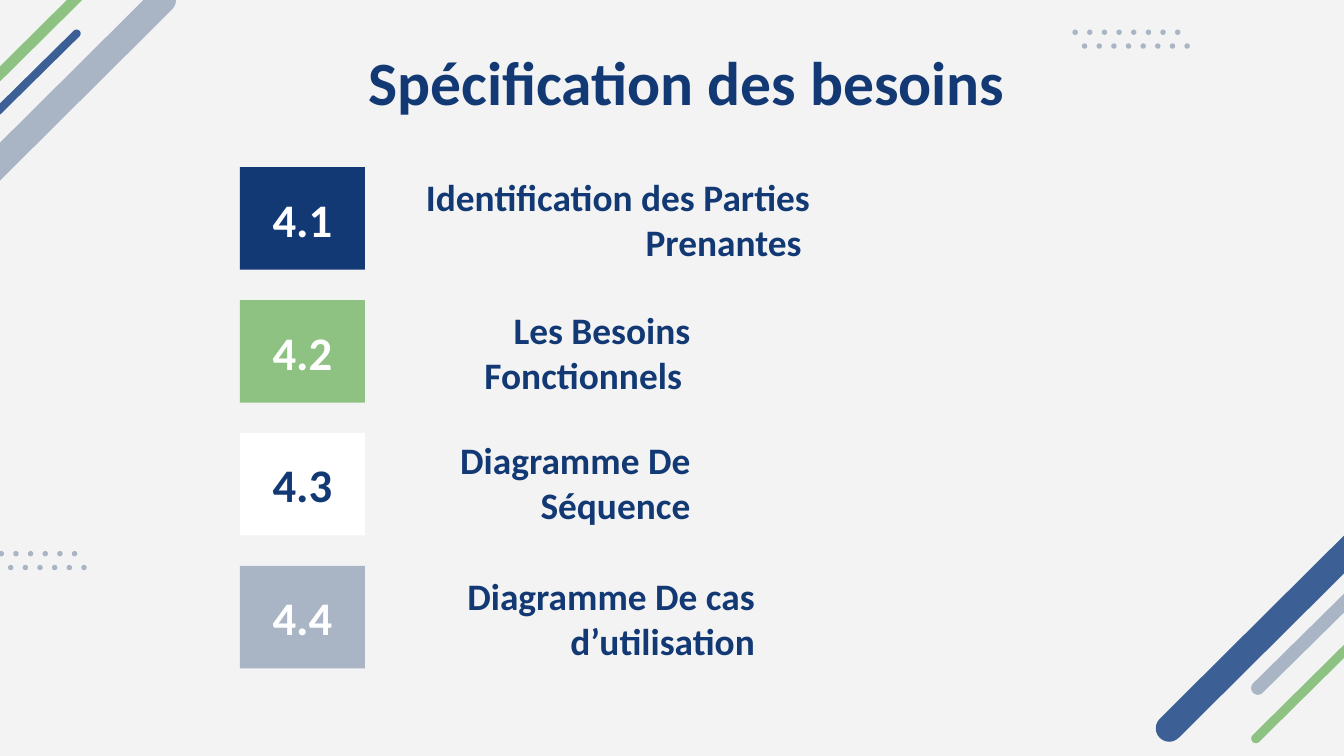
import dataclasses
import math

import pptx
import pptx.dml.color
import pptx.enum.shapes
import pptx.enum.text
import pptx.util

COLUMNS, ROWS = 1000, 562.5
CELL = pptx.util.Inches(10) // COLUMNS
SHAPE = pptx.enum.shapes.MSO_SHAPE
ANCHOR = pptx.enum.text.MSO_ANCHOR
ALIGN = pptx.enum.text.PP_ALIGN


@dataclasses.dataclass(frozen=True)
class Theme:
    font: str = "Calibri"
    background: str = "F3F3F3"
    navy: str = "123974"
    blue: str = "3C6096"
    green: str = "8EC283"
    grey: str = "A9B4C5"
    white: str = "FFFFFF"
    title_size: int = 33
    number_size: int = 25
    caption_size: int = 20


THEME = Theme()


def cells(*counts):
    return [round(count * CELL) for count in counts]


def paint(fill, color):
    fill.solid()
    fill.fore_color.rgb = pptx.dml.color.RGBColor.from_string(color)


def finish_shape(shape, color):
    paint(shape.fill, color)
    shape.line.fill.background()
    shape.shadow.inherit = False


def add_stripe(page, left, top, width, height, thickness, color):
    radius = thickness / 2
    ends = [
        (left + width - radius, top + radius, -135),
        (left + radius, top + height - radius, 45),
    ]
    points = []
    for center_x, center_y, first_angle in ends:
        for step in range(13):
            angle = math.radians(first_angle + 15 * step)
            points.append(cells(center_x + radius * math.cos(angle),
                                center_y + radius * math.sin(angle)))
    builder = page.shapes.build_freeform(*points[0])
    builder.add_line_segments(points[1:], close=True)
    finish_shape(builder.convert_to_shape(), color)


def add_dots(page, left, top, count):
    group = page.shapes.add_group_shape()
    for row in range(2):
        for column in range(count):
            place = cells(left + 7 * row + 10.9 * column, top + 10.3 * row, 4, 4)
            dot = group.shapes.add_shape(SHAPE.OVAL, *place)
            finish_shape(dot, THEME.grey)


def write(box, text, size, color, align, anchor):
    frame = box.text_frame
    frame.word_wrap = True
    frame.vertical_anchor = anchor
    frame.margin_left = frame.margin_right = pptx.util.Inches(0.1)
    frame.margin_top = frame.margin_bottom = pptx.util.Inches(0.1)
    para = frame.paragraphs[0]
    para.text = text
    para.alignment = align
    para.font.name = THEME.font
    para.font.size = pptx.util.Pt(size)
    para.font.bold = True
    para.font.color.rgb = pptx.dml.color.RGBColor.from_string(color)


def add_title(page, text):
    box = page.shapes.add_textbox(*cells(89.5, 23, 843, 63))
    write(box, text, THEME.title_size, THEME.navy, ALIGN.CENTER, ANCHOR.TOP)


def add_entry(page, index, number, caption, caption_top, caption_width, fill, number_color):
    left, width, height = 178.6, 93, 76.3
    top = 124.4 + 98.9 * index
    badge = page.shapes.add_shape(SHAPE.RECTANGLE, *cells(left, top, width, height))
    finish_shape(badge, fill)
    write(badge, number, THEME.number_size, number_color, ALIGN.CENTER, ANCHOR.MIDDLE)
    box = page.shapes.add_textbox(*cells(left + width, caption_top, caption_width, 56))
    write(box, caption, THEME.caption_size, THEME.navy, ALIGN.RIGHT, ANCHOR.MIDDLE)


def main():
    deck = pptx.Presentation()
    deck.slide_width, deck.slide_height = cells(COLUMNS, ROWS)
    page = deck.slides.add_slide(deck.slide_layouts[6])
    paint(page.background.fill, THEME.background)

    stripes = [
        (931, 455, 99, 98, 7, THEME.green),
        (931, 434, 84, 83, 10, THEME.grey),
        (860, 356, 197, 196, 20, THEME.blue),
        (-18, 22, 78, 77, 6, THEME.blue),
        (-9, -55, 120, 119, 8, THEME.green),
        (-74, -10, 205, 204, 20, THEME.grey),
    ]
    for stripe in stripes:
        add_stripe(page, *stripe)
    add_dots(page, -1, 410, 6)
    add_dots(page, 798, 22, 8)

    add_title(page, "Spécification des besoins")
    entries = [
        ("4.1", "Identification des Parties Prenantes ", 135, 341, THEME.navy, THEME.white),
        ("4.2", "Les Besoins Fonctionnels ", 234, 252, THEME.green, THEME.white),
        ("4.3", "Diagramme De Séquence", 331, 252, THEME.white, THEME.navy),
        ("4.4", "Diagramme De cas d’utilisation", 432, 300, THEME.grey, THEME.white),
    ]
    for index, entry in enumerate(entries):
        add_entry(page, index, *entry)
    deck.save("out.pptx")


if __name__ == "__main__":
    main()
